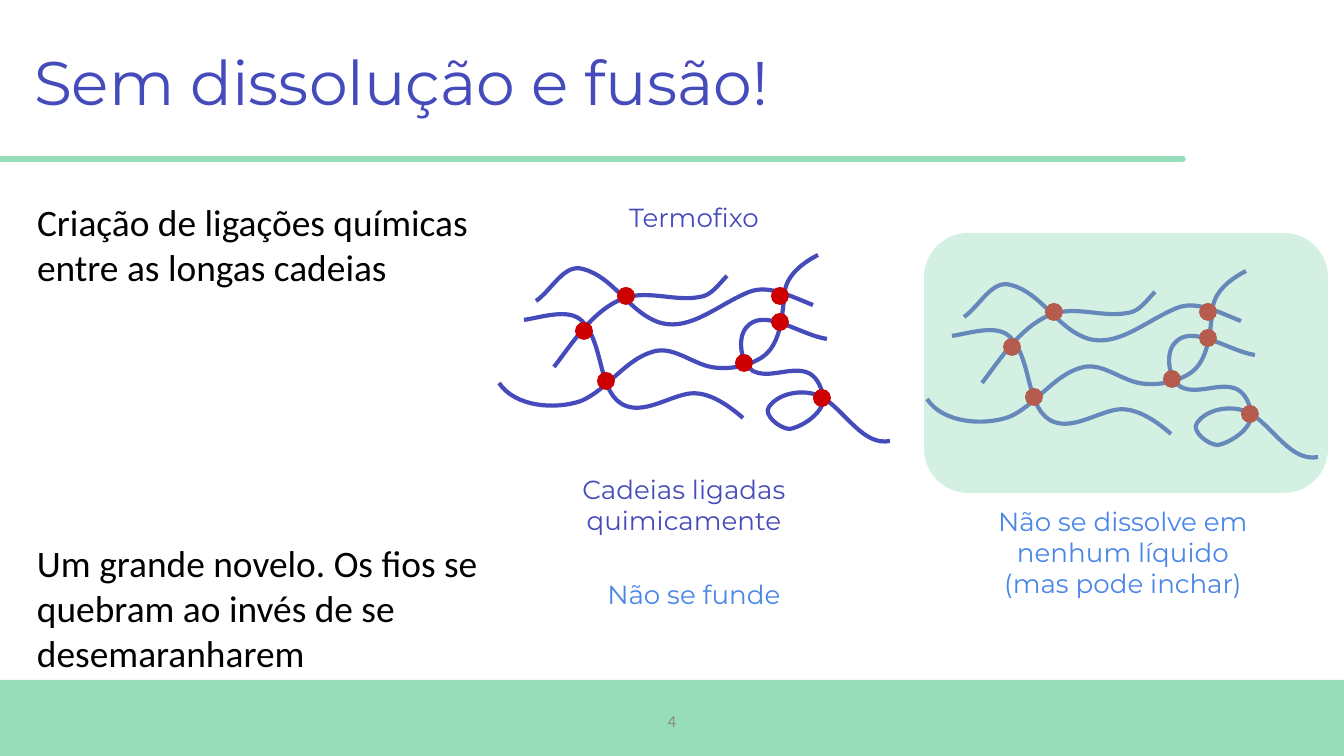
from dataclasses import dataclass

from lxml.etree import SubElement
from pptx import Presentation
from pptx.dml.color import RGBColor
from pptx.enum.shapes import MSO_CONNECTOR, MSO_SHAPE
from pptx.enum.text import MSO_ANCHOR, MSO_AUTO_SIZE, PP_ALIGN
from pptx.oxml.ns import qn
from pptx.util import Emu, Pt

EMU_PER_PX = 914400 / 134.4


@dataclass(frozen=True)
class Theme:
    indigo: str = "454BBB"
    blue: str = "4A86E8"
    mint: str = "98DDBA"
    red: str = "CC0000"
    gray: str = "888888"
    black: str = "000000"
    heading_font: str = "Montserrat"
    body_font: str = "Calibri"
    title_size: float = 33
    body_size: float = 20
    label_size: float = 14
    number_size: float = 9
    chain_width: float = 2.25
    rule_width: float = 3


THEME = Theme()

CHAINS = [
    [(536, 301), (552, 290), (564, 263), (583, 269),
     (614, 277), (630, 314), (661, 323),
     (691, 331), (719, 304), (749, 292),
     (769, 284), (792, 297), (813, 305)],
    [(554, 367), (574, 341), (594, 309), (625, 298),
     (649, 290), (676, 302), (700, 297),
     (711, 296), (719, 284), (727, 276)],
    [(818, 255), (804, 262), (788, 274), (785, 290),
     (782, 313), (782, 345), (761, 358),
     (746, 367), (727, 370), (711, 367),
     (691, 363), (672, 345), (652, 352),
     (625, 360), (607, 390), (581, 401),
     (555, 410), (515, 407), (499, 383)],
    [(524, 320), (543, 317), (569, 308), (582, 321),
     (605, 344), (597, 395), (626, 406),
     (645, 413), (667, 398), (687, 394),
     (707, 390), (728, 405), (743, 418)],
    [(827, 339), (800, 335), (763, 306), (746, 328),
     (737, 339), (741, 364), (753, 371),
     (769, 379), (789, 367), (806, 372),
     (816, 375), (821, 386), (823, 395),
     (827, 410), (805, 426), (790, 429),
     (780, 429), (763, 415), (769, 407),
     (780, 391), (809, 388), (825, 399),
     (847, 414), (864, 446), (890, 441)],
]
CROSSLINKS = [(626, 296), (584, 331), (606, 381), (744, 363),
              (780, 322), (780, 296), (822, 398)]
CROSSLINK_SIZE = 18
BOUNDS_STEPS = 16


def px(length):
    return Emu(round(length * EMU_PER_PX))


def rgb(color):
    return RGBColor.from_string(color)


def set_all(target, values):
    for name, value in values.items():
        setattr(target, name, value)


def place(shape, bounds):
    set_all(shape, dict(zip(("left", "top", "width", "height"), map(px, bounds))))


def write(box, text, font, size, color, align=PP_ALIGN.LEFT,
          anchor=MSO_ANCHOR.TOP, inset=(10, 5), spacing=None,
          auto_size=MSO_AUTO_SIZE.NONE):
    frame = box.text_frame
    side, edge = map(px, inset)
    set_all(frame, {
        "word_wrap": True, "auto_size": auto_size, "vertical_anchor": anchor,
        "margin_left": side, "margin_right": side,
        "margin_top": edge, "margin_bottom": edge,
    })
    paragraph = frame.paragraphs[0]
    set_all(paragraph, {"alignment": align, "line_spacing": spacing})
    span = paragraph.add_run()
    span.text = text
    set_all(span.font, {"name": font, "size": Pt(size)})
    span.font.color.rgb = rgb(color)


def add_text(page, bounds, *args, **options):
    box = page.shapes.add_textbox(*map(px, bounds))
    write(box, *args, **options)


def add_body(page, bounds, text):
    add_text(page, bounds, text, THEME.body_font, THEME.body_size, THEME.black,
             inset=(13, 13), auto_size=MSO_AUTO_SIZE.SHAPE_TO_FIT_TEXT)


def add_label(page, bounds, text, color):
    add_text(page, bounds, text, THEME.heading_font, THEME.label_size, color,
             align=PP_ALIGN.CENTER, auto_size=MSO_AUTO_SIZE.SHAPE_TO_FIT_TEXT)


def add_filled(page, kind, bounds, color, opacity=100):
    shape = page.shapes.add_shape(kind, *map(px, bounds))
    shape.shadow.inherit = False
    shape.fill.solid()
    shape.fill.fore_color.rgb = rgb(color)
    shape.line.fill.background()
    if opacity < 100:
        color_node = shape.fill._xPr.find(qn("a:solidFill"))[0]
        SubElement(color_node, qn("a:alpha"), val=str(opacity * 1000))
    return shape


def add_rule(page, start, end):
    rule = page.shapes.add_connector(MSO_CONNECTOR.STRAIGHT, *map(px, start + end))
    rule.line.color.rgb = rgb(THEME.mint)
    rule.line.width = Pt(THEME.rule_width)
    rule.line._get_or_add_ln().set("cap", "rnd")
    SubElement(rule._element.spPr, qn("a:effectLst"))


def bezier(controls, t):
    weights = ((1 - t) ** 3, 3 * t * (1 - t) ** 2, 3 * t ** 2 * (1 - t), t ** 3)
    return tuple(sum(w * value for w, value in zip(weights, axis))
                 for axis in zip(*controls))


def use_curves(chain, controls):
    outline = chain._element.spPr.find(".//" + qn("a:path"))
    for segment in list(outline):
        outline.remove(segment)
    for index, (x, y) in enumerate(controls):
        if index == 0:
            segment = SubElement(outline, qn("a:moveTo"))
        elif index % 3 == 1:
            segment = SubElement(outline, qn("a:cubicBezTo"))
        SubElement(segment, qn("a:pt"),
                   x=str(px(x) - chain.left), y=str(px(y) - chain.top))


def add_chain(page, controls):
    points = [bezier(controls[first:first + 4], step / BOUNDS_STEPS)
              for first in range(0, len(controls) - 1, 3)
              for step in range(1, BOUNDS_STEPS + 1)]
    builder = page.shapes.build_freeform(*map(px, controls[0]))
    builder.add_line_segments([(px(x), px(y)) for x, y in points], close=False)
    chain = builder.convert_to_shape()
    use_curves(chain, controls)
    chain.shadow.inherit = False
    chain.fill.background()
    chain.line.color.rgb = rgb(THEME.indigo)
    chain.line.width = Pt(THEME.chain_width)


def add_network(page, shift_x=0, shift_y=0):
    for controls in CHAINS:
        add_chain(page, [(x + shift_x, y + shift_y) for x, y in controls])
    radius = CROSSLINK_SIZE / 2
    for x, y in CROSSLINKS:
        add_filled(page, MSO_SHAPE.OVAL,
                   (x + shift_x - radius, y + shift_y - radius,
                    CROSSLINK_SIZE, CROSSLINK_SIZE), THEME.red)


def main():
    deck = Presentation()
    set_all(deck, {"slide_width": px(1344), "slide_height": px(756)})
    page = deck.slides.add_slide(deck.slide_layouts[5])

    add_filled(page, MSO_SHAPE.RECTANGLE, (0, 680, 1344, 76), THEME.mint)
    add_text(page, (521, 701, 302, 40), "4", THEME.body_font, THEME.number_size,
             THEME.gray, align=PP_ALIGN.CENTER, anchor=MSO_ANCHOR.MIDDLE)
    title = page.shapes.title
    place(title, (24, 13, 1159, 146))
    write(title, "Sem dissolução e fusão!", THEME.heading_font, THEME.title_size,
          THEME.indigo, anchor=MSO_ANCHOR.MIDDLE, spacing=0.9)
    add_rule(page, (0, 159), (1183, 159))

    add_body(page, (24, 186, 535, 118),
             "Criação de ligações químicas entre as longas cadeias")
    add_body(page, (24, 527, 489, 163),
             "Um grande novelo. Os fios se quebram ao invés de se desemaranharem")

    add_label(page, (592, 196, 204, 41), "Termofixo", THEME.indigo)
    add_network(page)
    add_label(page, (545, 468, 278, 74), "Cadeias ligadas quimicamente", THEME.indigo)
    add_label(page, (543, 573, 302, 41), "Não se funde", THEME.blue)
    add_label(page, (972, 500, 302, 105),
              "Não se dissolve em nenhum líquido (mas pode inchar)", THEME.blue)
    add_network(page, 428, 16)
    bath = add_filled(page, MSO_SHAPE.ROUNDED_RECTANGLE, (924, 233, 404, 260),
                      THEME.mint, opacity=42)
    bath.adjustments[0] = 0.17

    deck.save("out.pptx")


if __name__ == "__main__":
    main()
